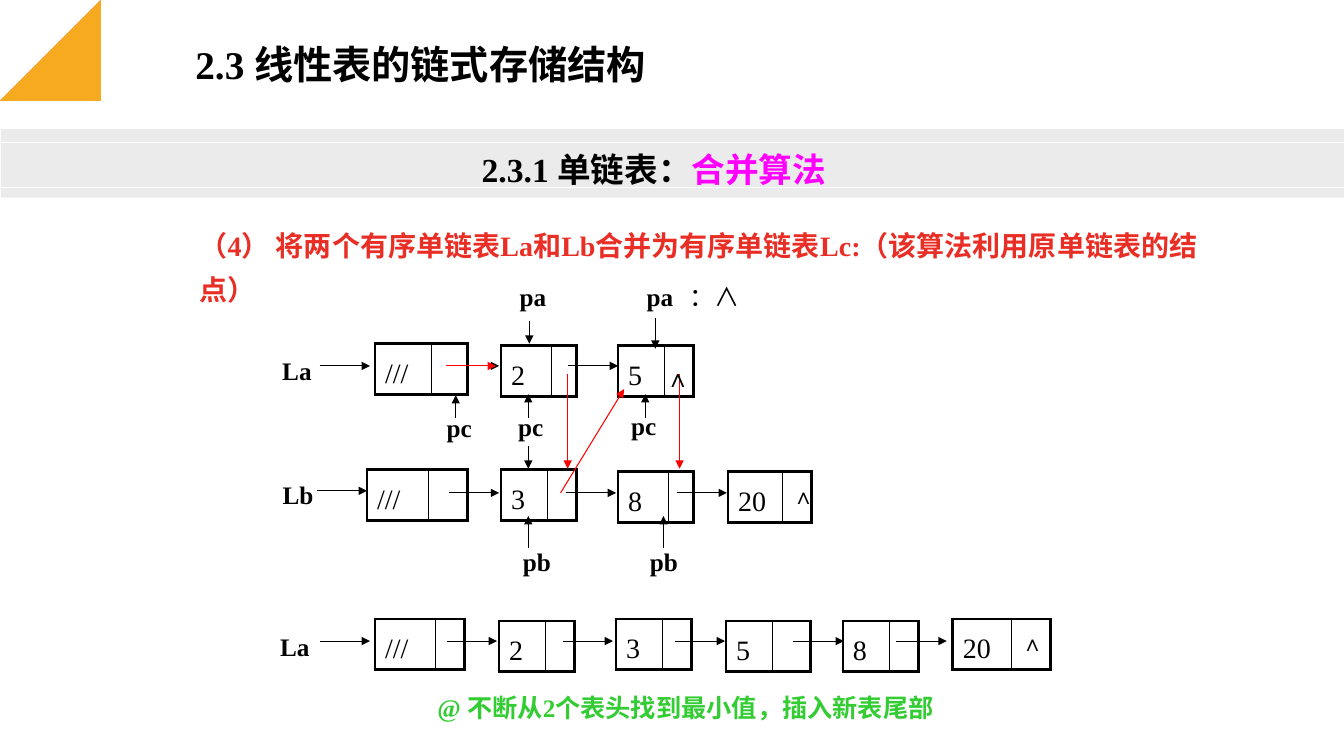
import pptx
import pptx.dml.color
import pptx.enum.shapes
import pptx.enum.text
import pptx.oxml
import pptx.oxml.ns
import pptx.util
from lxml import etree
from pptx.util import Inches

THEME = {
    "font": "Times New Roman",
    "black": "000000", "white": "FFFFFF", "band": "404040",
    "red": "E92E25", "yellow": "F7B61D", "link": "FF0000",
    "magenta": "FF00FF", "green": "33CC33",
    "title": 28, "subtitle": 24, "body": 20, "label": 18, "end": 16,
}
ALIGN = pptx.enum.text.PP_ALIGN
RGB = pptx.dml.color.RGBColor.from_string
qn = pptx.oxml.ns.qn

presentation = pptx.Presentation()
presentation.slide_width = Inches(13.33)
presentation.slide_height = Inches(7.5)
slide = presentation.slides.add_slide(presentation.slide_layouts[6])


def add_line(start, finish, color="black", width=0.75, arrow=True):
    line = slide.shapes.add_connector(
        pptx.enum.shapes.MSO_CONNECTOR.STRAIGHT,
        *(Inches(value) for value in (*start, *finish)))
    line.line.color.rgb = RGB(THEME[color])
    line.line.width = pptx.util.Pt(width)
    properties = line._element.spPr
    if arrow:
        etree.SubElement(properties.find(qn("a:ln")), qn("a:tailEnd"), type="triangle")
    etree.SubElement(properties, qn("a:effectLst"))


def add_text(box, runs, size="label", align=ALIGN.LEFT, bold=True):
    frame = slide.shapes.add_textbox(*(Inches(value) for value in box)).text_frame
    frame.word_wrap = True
    paragraph = frame.paragraphs[0]
    paragraph.alignment = align
    paragraph.line_spacing = 1.3
    paragraph.font.size = pptx.util.Pt(THEME[size])
    paragraph.font.name = THEME["font"]
    paragraph.font.bold = bold
    for text, color in runs:
        run = paragraph.add_run()
        run.text = text
        run.font.color.rgb = RGB(THEME[color])


band = slide.shapes.add_shape(
    pptx.enum.shapes.MSO_SHAPE.RECTANGLE,
    Inches(0.01), Inches(1.28), Inches(13.33), Inches(0.68))
chevrons = [
    ("red", [(0.34, 1.12), (0.88, 1.12), (1.49, 0.5), (1.52, 0.46), (1.53, 0.41),
             (1.52, 0.36), (1.49, 0.32), (1.17, 0), (0.8, 0), (1.21, 0.41), (0.5, 1.12)]),
    ("yellow", [(0.12, 0.94), (0.51, 0.94), (0.97, 0.49), (0.99, 0.46), (0.99, 0.42),
                (0.99, 0.38), (0.97, 0.35), (0.61, 0), (0.34, 0), (0.76, 0.42), (0.24, 0.94)]),
]
translucent = [(band, "band", 10)]
for color, points in chevrons:
    builder = slide.shapes.build_freeform(*points[0], scale=Inches(1))
    builder.add_line_segments(points[1:], close=True)
    translucent.append((builder.convert_to_shape(), color, 90))
for shape, color, opacity in translucent:
    shape.shadow.inherit = False
    shape.fill.solid()
    shape.fill.fore_color.rgb = RGB(THEME[color])
    shape.line.fill.background()
    color_element = shape._element.spPr.find(qn("a:solidFill"))[0]
    etree.SubElement(color_element, qn("a:alpha"), val=str(opacity * 1000))
for y in (1.41, 1.86):
    add_line((0.01, y), (13.35, y), "white", 0.5, arrow=False)

nodes = [
    ("///", "", 3.72, 3.41, 0.56, 0.36),
    ("2", "", 4.97, 3.43, 0.5, 0.25),
    ("5", "", 6.13, 3.43, 0.46, 0.29),
    ("///", "", 3.64, 4.66, 0.61, 0.39),
    ("3", "", 4.97, 4.66, 0.46, 0.29),
    ("8", "", 6.13, 4.68, 0.5, 0.25),
    ("20", "∧", 7.22, 4.68, 0.54, 0.29),
    ("///", "", 3.72, 6.14, 0.6, 0.29),
    ("2", "", 4.95, 6.16, 0.46, 0.29),
    ("3", "", 6.11, 6.14, 0.46, 0.29),
    ("5", "", 7.2, 6.16, 0.46, 0.38),
    ("8", "", 8.36, 6.16, 0.46, 0.29),
    ("20", "∧", 9.45, 6.14, 0.58, 0.39),
]
for value, end, left, top, value_width, pointer_width in nodes:
    table = slide.shapes.add_table(
        1, 2, Inches(left), Inches(top),
        Inches(value_width + pointer_width), Inches(0.48)).table
    table.first_row = False
    table.horz_banding = False
    columns = [(value, value_width, "body", "lnR"), (end, pointer_width, "end", "lnL")]
    for index, (text, width, size, inner_edge) in enumerate(columns):
        table.columns[index].width = Inches(width)
        cell = table.cell(0, index)
        cell.text = text
        cell.fill.background()
        paragraph = cell.text_frame.paragraphs[0]
        paragraph.line_spacing = 1.3
        paragraph.font.size = pptx.util.Pt(THEME[size])
        paragraph.font.name = THEME["font"]
        paragraph.font.color.rgb = RGB(THEME["black"])
        properties = cell._tc.get_or_add_tcPr()
        for position, edge in enumerate(("lnL", "lnR", "lnT", "lnB")):
            weight = pptx.util.Pt(1 if edge == inner_edge else 2.25)
            border = etree.Element(qn("a:" + edge), w=str(weight))
            solid = etree.SubElement(border, qn("a:solidFill"))
            etree.SubElement(solid, qn("a:srgbClr"), val=THEME["black"])
            properties.insert(position, border)

link_rows = [
    (3.63, "black", (3.17, 4.45, 5.63)),
    (3.63, "link", (4.42,)),
    (4.87, "black", (3.14,)),
    (4.89, "black", (4.45, 5.61, 6.71)),
    (6.36, "black", (3.17, 4.43, 5.58, 6.69, 7.87, 8.89)),
]
for y, color, starts in link_rows:
    for x in starts:
        add_line((x, y), (x + 0.5, y), color)

pointer_arrows = [
    (4.52, 4.15, 3.92), (5.24, 4.15, 3.91), (6.4, 4.15, 3.91),
    (5.25, 3.18, 3.41), (6.5, 3.15, 3.46), (5.24, 4.42, 4.65),
    (5.24, 5.44, 5.12), (6.58, 5.44, 5.12),
]
for x, start_y, finish_y in pointer_arrows:
    add_line((x, start_y), (x, finish_y))
for x in (5.63, 6.74):
    add_line((x, 3.71), (x, 4.65), "link")
add_line((5.56, 4.89), (6.19, 3.86), "link")

labels = [
    ("La", 2.32, 3.39, 1.25), ("Lb", 2.33, 4.62, 1.25), ("La", 2.3, 6.12, 1.25),
    ("pa", 4.93, 2.65, 0.71), ("pa", 6.19, 2.65, 0.71),
    ("pc", 4.24, 3.95, 0.63), ("pc", 4.91, 3.94, 0.71), ("pc", 6.03, 3.93, 0.71),
    ("pb", 4.7, 5.28, 1.25), ("pb", 5.96, 5.28, 1.25),
]
for text, left, top, width in labels:
    add_text((left, top, width, 0.46), [(text, "black")], align=ALIGN.CENTER)
add_text((6.5, 3.46, 0.39, 0.46), [("∧", "black")], bold=False)
add_text((6.74, 2.65, 1.18, 0.45), [("：∧", "black")], bold=False)

add_text((1.88, 2.12, 10.39, 0.5),
         [("（4） 将两个有序单链表La和Lb合并为有序单链表Lc:（该算法利用原单链表的结点）", "red")], "body")
add_text((4.24, 6.73, 6.93, 0.46), [("@ 不断从2个表头找到最小值，插入新表尾部", "green")])
add_text((1.84, 0.21, 6.74, 0.65), [("2.3 线性表的链式存储结构", "black")], "title")
add_text((0.56, 1.31, 11.85, 0.57),
         [("2.3.1 单链表：", "black"), ("合并算法", "magenta")], "subtitle", ALIGN.CENTER)

presentation.save("out.pptx")
